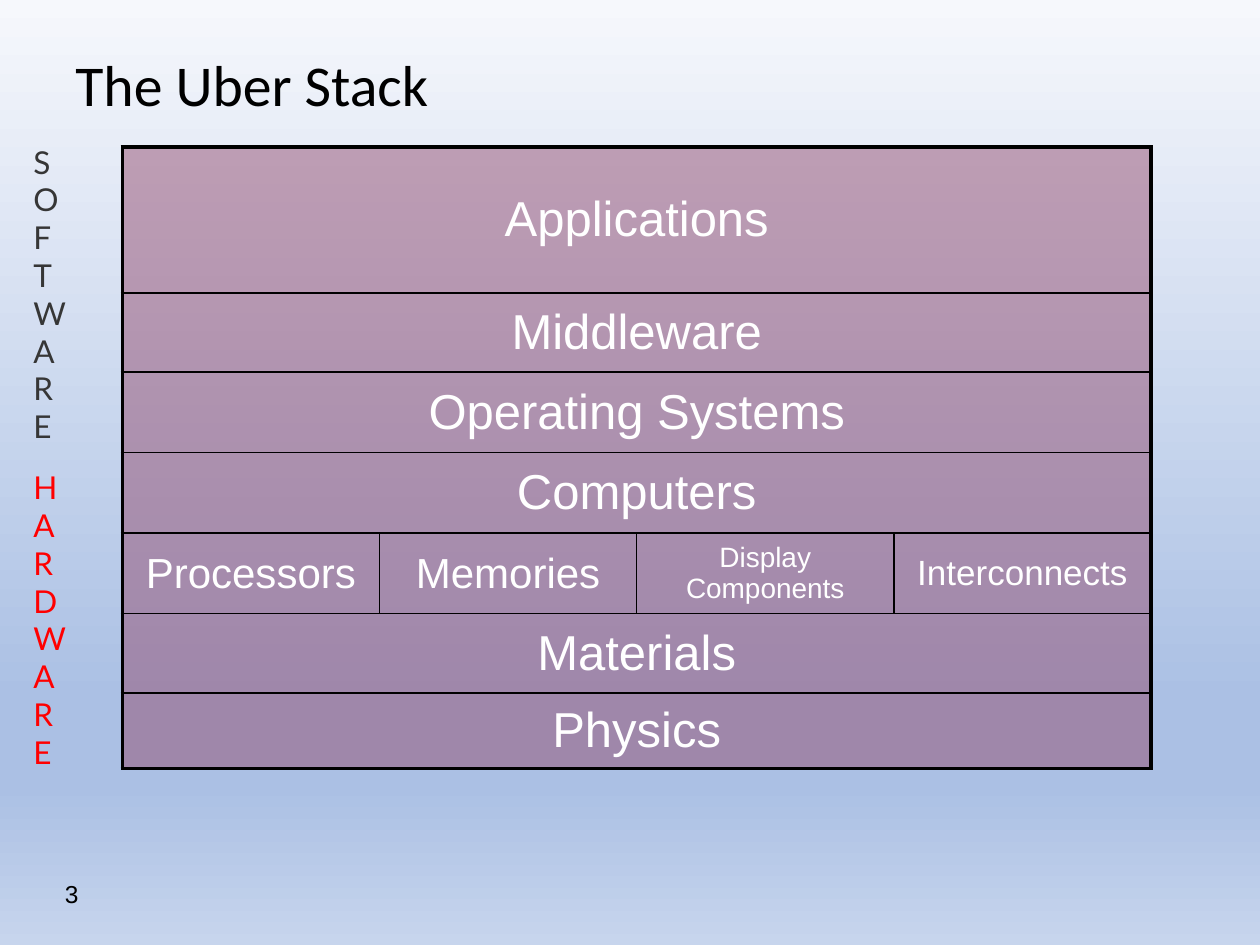
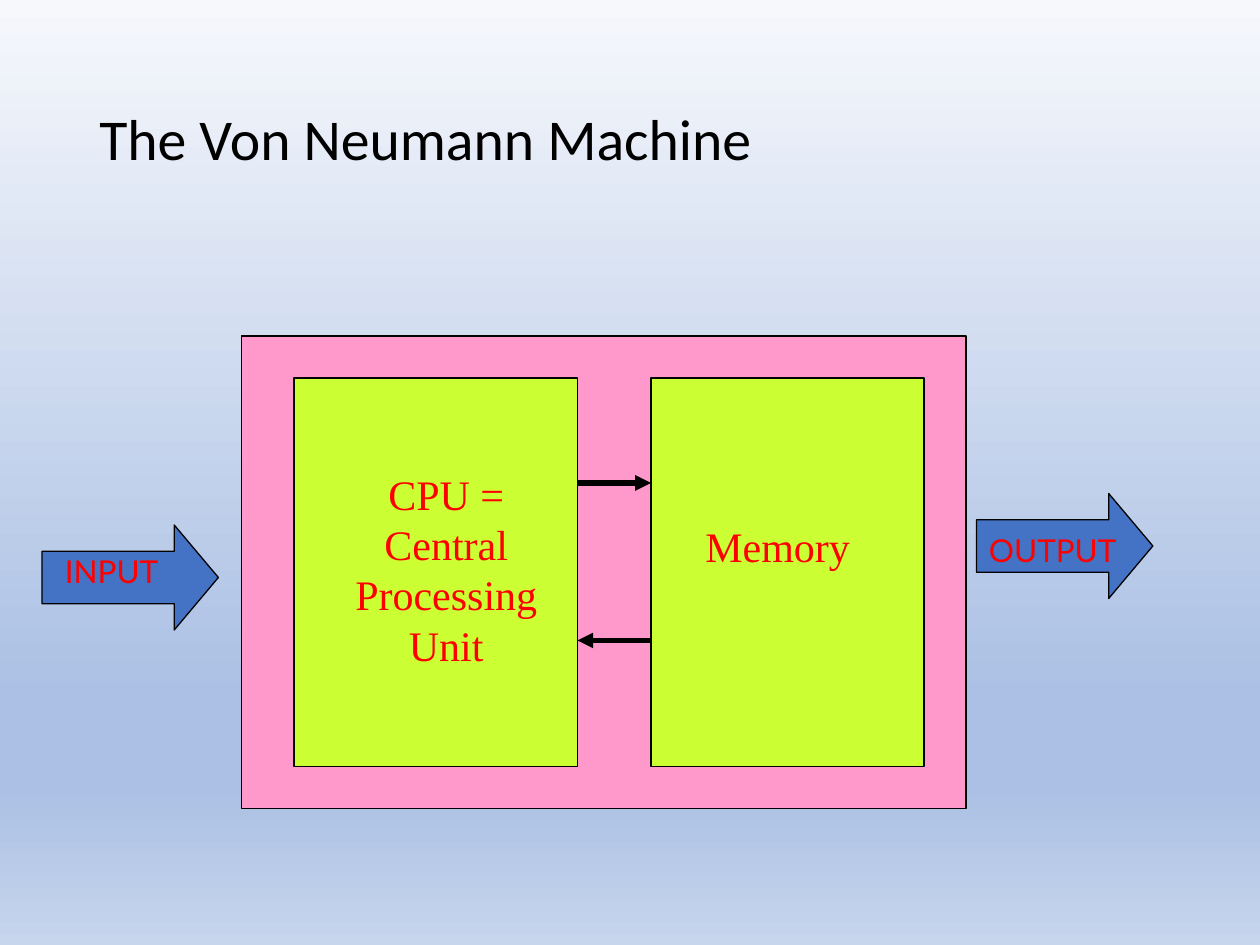
from collections import namedtuple
from dataclasses import dataclass

from lxml import etree
from pptx import Presentation, util as u
from pptx.dml import color
from pptx.enum import shapes, text
from pptx.oxml import ns


@dataclass(frozen=True)
class Theme:
    """Colours, fonts, type sizes and line widths of the deck."""
    ink: str = "000000"
    soft: str = "363636"
    alert: str = "FF0000"
    white: str = "FFFFFF"
    layer: str = "954F72"
    case: str = "FF99CC"
    unit: str = "CCFF33"
    arrow: str = "4472C4"
    sky: tuple = ((0, "F6F8FC"), (74, "ABC0E4"), (83, "ABC0E4"), (100, "C7D5ED"))
    head: str = "Calibri"
    label: str = "Lato"
    body: str = "Arial"
    serif: str = "Times New Roman"
    title_pt: int = 33
    layer_pt: int = 28
    unit_pt: int = 24
    wide_pt: int = 20
    label_pt: int = 18
    small_pt: int = 16
    number_pt: int = 14
    thin: float = 0.75
    inner: float = 1
    outer: float = 2.25
    bold: float = 3


T = Theme()
COLS, ROWS = 120, 90
WIDTH, HEIGHT = u.Inches(10), u.Inches(7.5)
MIDDLE, TOP = text.MSO_ANCHOR.MIDDLE, text.MSO_ANCHOR.TOP
LEFT, CENTER = text.PP_ALIGN.LEFT, text.PP_ALIGN.CENTER

LAYERS = [
    (1.16, [("Applications", T.layer_pt)]),
    (0.63, [("Middleware", T.layer_pt)]),
    (0.64, [("Operating Systems", T.layer_pt)]),
    (0.64, [("Computers", T.layer_pt)]),
    (0.64, [("Processors", T.unit_pt), ("Memories", T.unit_pt),
            ("Display Components", T.small_pt), ("Interconnects", T.wide_pt)]),
    (0.63, [("Materials", T.layer_pt)]),
    (0.6, [("Physics", T.layer_pt)]),
]


def gx(n):
    """Length of n grid columns."""
    return int(WIDTH * n / COLS)


def gy(n):
    """Length of n grid rows."""
    return int(HEIGHT * n / ROWS)


class Box(namedtuple("Box", "x y w h")):
    """A region in grid columns and rows."""

    def inside(self, dx, dy, w, h):
        """Return a region placed from this one's top left corner."""
        return Box(self.x + dx, self.y + dy, w, h)

    def place(self):
        """Return left, top, width and height as lengths."""
        return gx(self.x), gy(self.y), gx(self.w), gy(self.h)


def rgb(value):
    """Turn a hex value into a colour."""
    return color.RGBColor.from_string(value)


def apply(obj, **values):
    """Set each named value on an object."""
    for name, value in values.items():
        setattr(obj, name, value)


def write(tf, words, font, size, ink, align=LEFT, spacing=1.0):
    """Write one paragraph into a text frame."""
    p = tf.paragraphs[0]
    p.text = words
    apply(p, alignment=align, line_spacing=spacing)
    apply(p.font, name=font, size=u.Pt(size))
    p.font.color.rgb = rgb(ink)


def add_text(s, box, words, font, size, ink, anchor=TOP, **para):
    """Add a wrapped text box."""
    tf = s.shapes.add_textbox(*box.place()).text_frame
    apply(tf, word_wrap=True, vertical_anchor=anchor)
    write(tf, words, font, size, ink, **para)


def add_block(s, box, fill, kind=shapes.MSO_SHAPE.RECTANGLE):
    """Add a filled shape with a thin outline."""
    sp = s.shapes.add_shape(kind, *box.place())
    sp.shadow.inherit = False
    sp.fill.solid()
    sp.fill.fore_color.rgb = rgb(fill)
    sp.line.color.rgb = rgb(T.ink)
    sp.line.width = u.Pt(T.thin)
    return sp


def child(parent, tag, **attrs):
    """Append a drawing element and return it."""
    return etree.SubElement(parent, ns.qn(tag), **attrs)


def add_slide(prs, title, box):
    """Add a slide with the shared background and title style."""
    s = prs.slides.add_slide(prs.slide_layouts[6])
    fill = s.background.fill
    fill.gradient()
    fill.gradient_angle = 270
    stops = next(s.element.iter(ns.qn("a:gsLst")))
    for stop in list(stops):
        stops.remove(stop)
    for share, value in T.sky:
        stop = child(stops, "a:gs", pos=str(share * 1000))
        child(stop, "a:srgbClr", val=value)
    add_text(s, box, title, T.head, T.title_pt, T.ink, MIDDLE, spacing=0.9)
    return s


def style_cell(cell, borders):
    """Give a cell its borders and a half transparent fill."""
    props = cell._tc.get_or_add_tcPr()
    for side, width in borders.items():
        ln = child(props, f"a:ln{side}", w=str(u.Pt(width)))
        child(child(ln, "a:solidFill"), "a:srgbClr", val=T.ink)
    cell.fill.solid()
    cell.fill.fore_color.rgb = rgb(T.layer)
    child(props.find(ns.qn("a:solidFill"))[0], "a:alpha", val="50000")
    apply(cell, margin_left=0, margin_right=0, vertical_anchor=MIDDLE)


def layer_table(s, box):
    """Draw the stack of layers as a table filling the box."""
    n = max(len(names) for _, names in LAYERS)
    total = sum(share for share, _ in LAYERS)
    table = s.shapes.add_table(len(LAYERS), n, *box.place()).table
    apply(table, first_row=False, horz_banding=False)
    for col in table.columns:
        col.width = gx(box.w / n)
    for i, (share, names) in enumerate(LAYERS):
        table.rows[i].height = gy(box.h * share / total)
        full = len(names) == 1
        for j in range(n):
            edges = {"L": full or j == 0, "R": full or j == n - 1,
                     "T": i == 0, "B": i == len(LAYERS) - 1}
            style_cell(table.cell(i, j), {side: T.outer if edge else T.inner
                                          for side, edge in edges.items()})
        if full:
            table.cell(i, 0).merge(table.cell(i, n - 1))
        for j, (name, size) in enumerate(names):
            write(table.cell(i, j).text_frame, name, T.body, size, T.white, CENTER)


def side_word(s, box, word, ink):
    """Write a word downwards, one letter a line."""
    add_text(s, box, "\v".join(word), T.label, T.label_pt, ink)


def flow_arrow(s, box, label_box, word):
    """Draw a block arrow with its label."""
    sp = add_block(s, box, T.arrow, shapes.MSO_SHAPE.RIGHT_ARROW)
    sp.adjustments[0], sp.adjustments[1] = 0.5, 0.42
    add_text(s, label_box, word, T.label, T.label_pt, T.alert)


def link(s, x1, x2, y):
    """Draw a level line with an arrowhead at its end."""
    line = s.shapes.add_connector(shapes.MSO_CONNECTOR.STRAIGHT,
                                  gx(x1), gy(y), gx(x2), gy(y))
    line.line.color.rgb = rgb(T.ink)
    line.line.width = u.Pt(T.bold)
    child(line.line._get_or_add_ln(), "a:tailEnd", type="triangle")
    child(line._element.spPr, "a:effectLst")


def machine(s, box):
    """Draw the case with processor, memory and the links between them."""
    add_block(s, box, T.case)
    cpu, memory = box.inside(5, 4, 27, 37), box.inside(39, 4, 26, 37)
    units = [(cpu, cpu.inside(4, 8, 21, 20.6), "CPU = Central Processing Unit", CENTER),
             (memory, memory.inside(4, 13, 19, 6), "Memory", LEFT)]
    for unit, label_box, name, align in units:
        add_block(s, unit, T.unit)
        add_text(s, label_box, name, T.serif, T.unit_pt, T.alert, align=align)
    near, far = cpu.x + cpu.w, memory.x
    link(s, near, far, cpu.y + 10)
    link(s, far, near, cpu.y + 25)


def stack_slide(prs):
    """Build the slide of stacked layers."""
    s = add_slide(prs, "The Uber Stack", Box(6, 3.84, 108, 9.12))
    add_text(s, Box(5, 82, 28, 6.24), "3", T.body, T.number_pt, T.ink, MIDDLE)
    layer_table(s, Box(11.64, 14, 98, 59.2))
    side_word(s, Box(2, 13, 7, 30), "SOFTWARE", T.soft)
    side_word(s, Box(2, 44, 7, 30), "HARDWARE", T.alert)


def machine_slide(prs):
    """Build the slide of the machine with its input and output."""
    s = add_slide(prs, "The Von Neumann Machine", Box(8.28, 4.8, 103.4, 17.4))
    machine(s, Box(23, 32, 69, 45))
    source, target = Box(4, 50, 16.8, 10), Box(93, 47, 16.8, 10)
    flow_arrow(s, source, source.inside(1, 2, 12, 4.8), "INPUT")
    flow_arrow(s, target, target.inside(0, 3, 15, 4.8), "OUTPUT")


def main():
    """Build and save the deck."""
    prs = Presentation()
    apply(prs, slide_width=WIDTH, slide_height=HEIGHT)
    stack_slide(prs)
    machine_slide(prs)
    prs.save("out.pptx")


if __name__ == "__main__":
    main()
